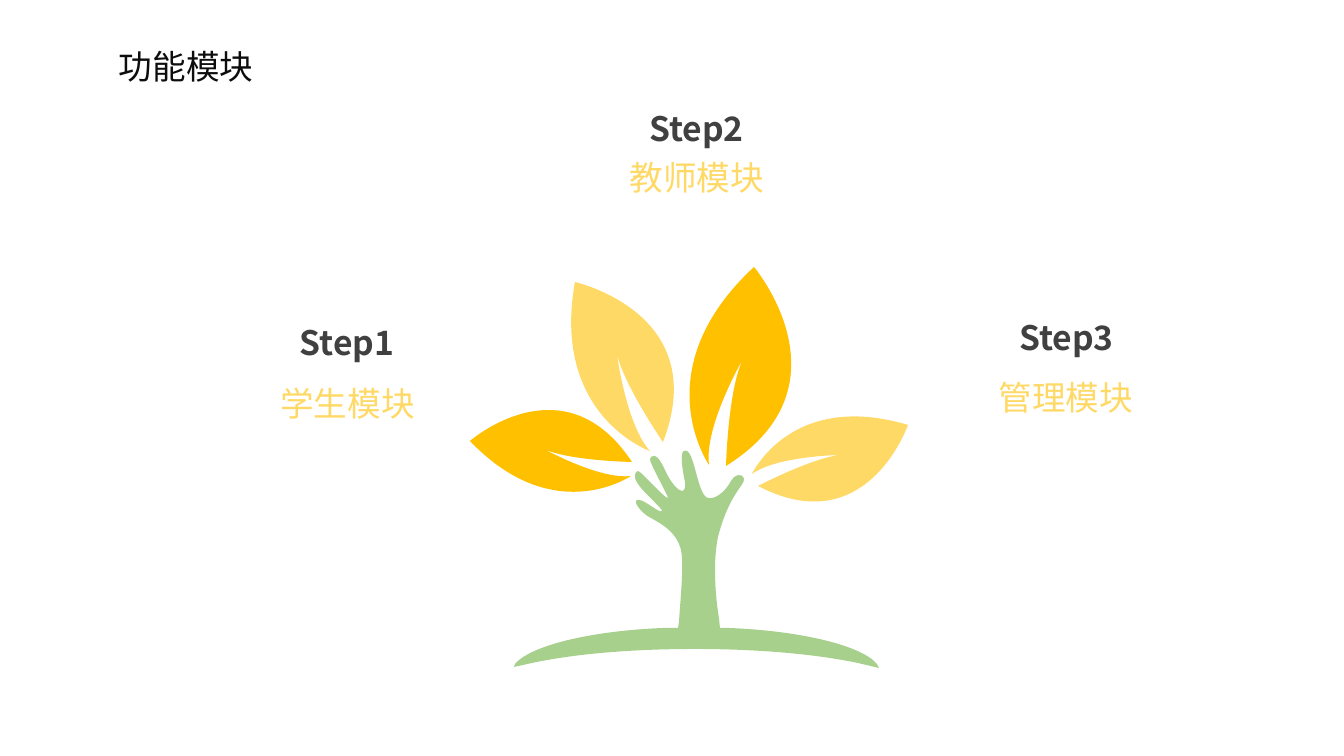
from pptx import Presentation
from pptx.dml.color import RGBColor
from pptx.enum.text import MSO_AUTO_SIZE, PP_ALIGN
from pptx.oxml.ns import qn
from pptx.util import Emu, Pt

LEFT, MID = PP_ALIGN.LEFT, PP_ALIGN.CENTER
GROW = MSO_AUTO_SIZE.SHAPE_TO_FIT_TEXT
SCALE = 914400 / 100.8
SANS, ARIAL = "Noto Sans CJK SC", "Arial"
GOLD, SAND, GREEN = "FFC000", "FFD966", "A8D08D"
GREY, BLACK = "404040", "0D0D0D"


def px(n):
    return Emu(round(n * SCALE))


def color(code):
    return RGBColor.from_string(code)


def write(frame, text, font=SANS, size=24, ink=BLACK, bold=False, align=LEFT, space=1.0):
    para = frame.paragraphs[0]
    para.alignment = align
    para.line_spacing = space
    run = para.add_run()
    run.text = text
    run.font.name = font
    run.font.size = Pt(size)
    run.font.bold = bold
    run.font.color.rgb = color(ink)
    east = run.font._element.makeelement(qn("a:ea"), {"typeface": font})
    run.font._element.find(qn("a:latin")).addnext(east)


class Page:
    def __init__(self, deck):
        self.slide = deck.slides.add_slide(deck.slide_layouts[6])

    def text(self, box, text, wrap=True, **style):
        frame = self.slide.shapes.add_textbox(*map(px, box)).text_frame
        frame.word_wrap = wrap
        frame.auto_size = GROW
        write(frame, text, **style)

    def curve(self, start, parts, fill):
        pen = self.slide.shapes.build_freeform(*start, scale=SCALE)
        pen.add_line_segments([spot for part in parts for spot in part], close=True)
        shape = pen.convert_to_shape()
        shape.shadow.inherit = False
        shape.fill.solid()
        shape.fill.fore_color.rgb = color(fill)
        shape.line.fill.background()
        lines = iter(list(shape._element.iter(qn("a:lnTo"))))
        for part in parts:
            first, *rest = [next(lines) for _ in part]
            if rest:
                first.tag = qn("a:cubicBezTo")
            for line in rest:
                first.append(line[0])
                line.getparent().remove(line)

    def leaf(self, spots, fill):
        tips, bends = spots[::2], spots[1::2]
        ends = tips[1:] + tips[:1]
        self.curve(tips[0], list(zip(tips, bends, ends)), fill)


LEAVES = [
    (SAND, [(650, 451), (551, 416), (575, 282), (713, 313),
            (663, 442), (624, 385), (617, 354), (626, 424)]),
    (GOLD, [(709, 465), (643, 370), (754, 267), (854, 386),
            (726, 466), (728, 390), (743, 359), (704, 426)]),
    (SAND, [(752, 474), (791, 390), (908, 425), (867, 543),
            (758, 486), (812, 458), (840, 455), (777, 456)]),
    (GOLD, [(631, 476), (554, 529), (470, 441), (564, 359),
            (632, 462), (570, 461), (544, 449), (600, 480)]),
]

TREE = [
    [(685, 450), (686, 451), (687, 451)],
    [(695, 455), (698, 496), (708, 498)],
    [(718, 500), (728, 487), (731, 481)],
    [(734, 475), (742, 472), (744, 479)],
    [(745, 485), (729, 494), (718, 537)],
    [(713, 561), (715, 594), (719, 618)],
    [(720, 628)],
    [(729, 628)],
    [(803, 631), (862, 646), (877, 664)],
    [(879, 668)],
    [(858, 663)],
    [(815, 654), (758, 649), (695, 649)],
    [(631, 649), (574, 654), (532, 663)],
    [(514, 667)],
    [(515, 664)],
    [(530, 646), (589, 631), (663, 628)],
    [(678, 628)],
    [(679, 622)],
    [(680, 605), (683, 577), (682, 558)],
    [(681, 530), (656, 522), (646, 515)],
    [(636, 507), (633, 499), (639, 500)],
    [(645, 500), (660, 514), (662, 511)],
    [(663, 509), (644, 493), (638, 484)],
    [(632, 475), (636, 472), (638, 471)],
    [(641, 471), (666, 500), (668, 498)],
    [(669, 497), (649, 462), (650, 459)],
    [(651, 456), (656, 450), (665, 470)],
    [(674, 490), (687, 499), (685, 482)],
    [(682, 468), (680, 452), (684, 451)],
]

STEPS = [
    ("Step1", (270, 317, 154, 50), "学生模块", (267, 370, 161, 55)),
    ("Step2", (599, 103, 195, 50), "教师模块", (550, 144, 294, 52)),
    ("Step3", (969, 312, 195, 50), "管理模块", (976, 364, 180, 52)),
]

deck = Presentation()
deck.slide_width, deck.slide_height = px(1344), px(756)
page = Page(deck)
for fill, spots in LEAVES:
    page.leaf(spots, fill)
page.curve((684, 451), TREE, GREEN)
page.text((109, 41, 156, 50), "功能模块", wrap=False)
for step, top, name, low in STEPS:
    page.text(top, step, ink=GREY, bold=True, align=MID)
    page.text(low, name, font=ARIAL, ink=SAND, align=MID, space=1.2)
deck.save("out.pptx")
